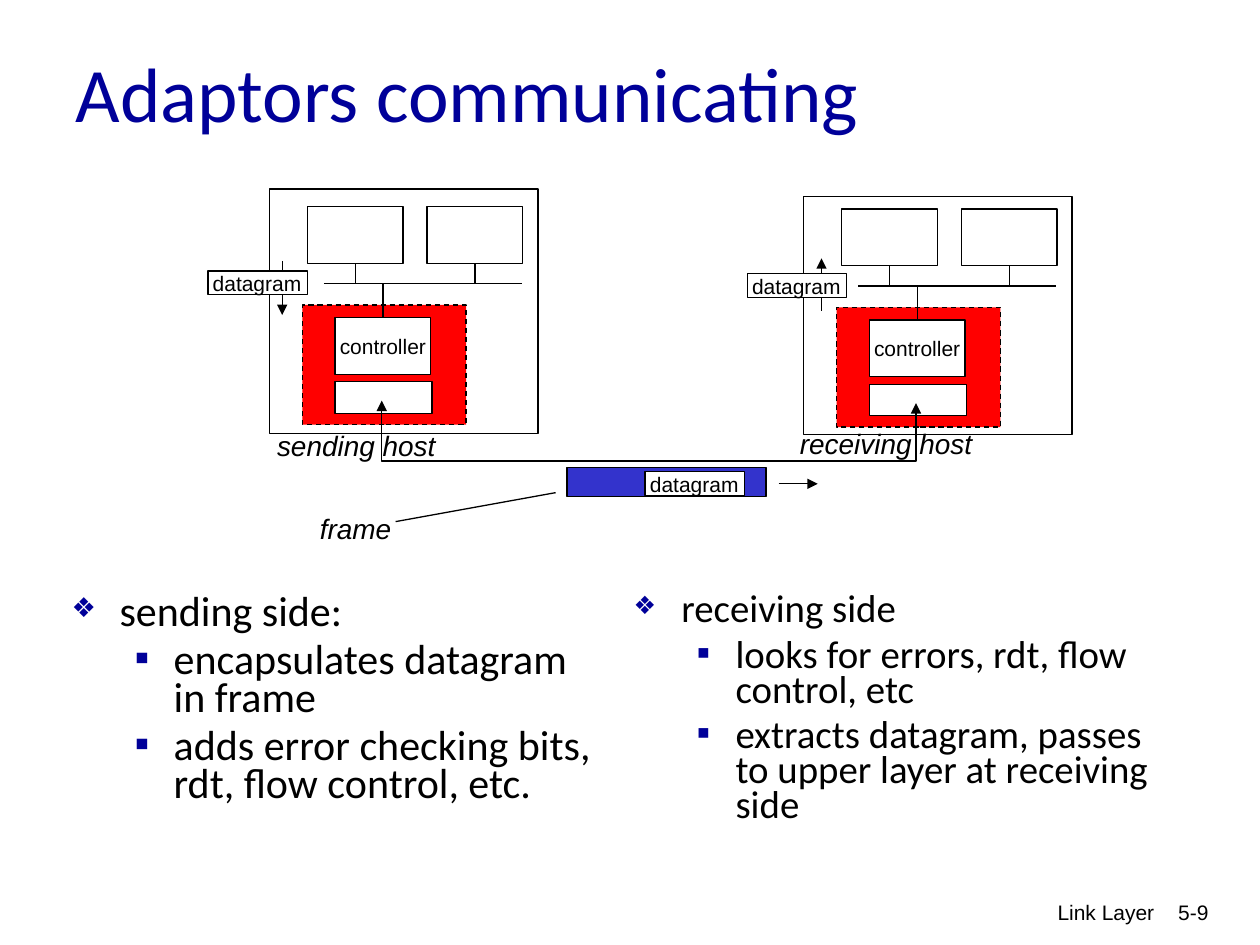
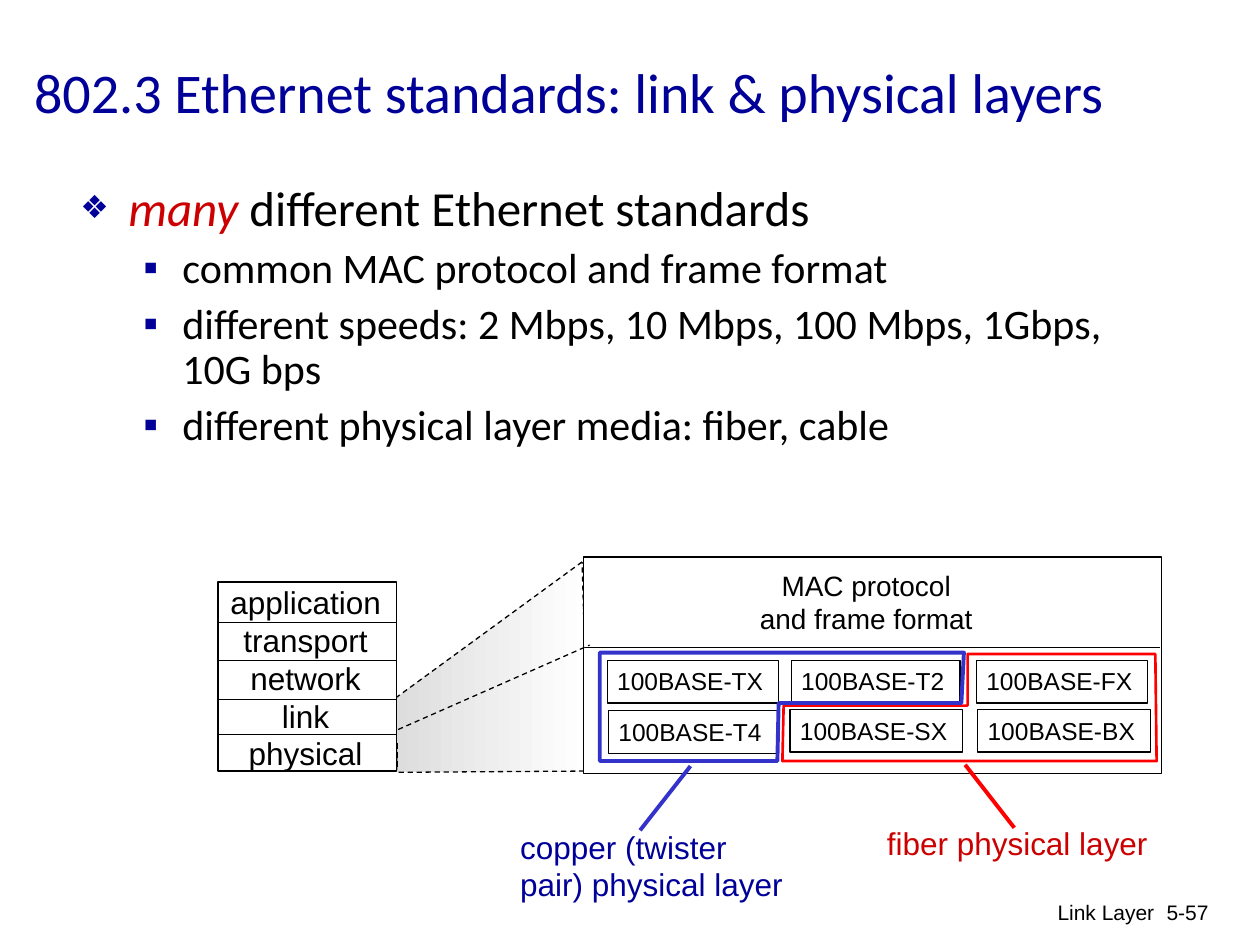
from lxml.etree import SubElement
from pptx import Presentation
from pptx.dml.color import RGBColor
from pptx.enum.dml import MSO_LINE
from pptx.enum.shapes import MSO_CONNECTOR, MSO_SHAPE
from pptx.enum.text import MSO_ANCHOR, MSO_AUTO_SIZE, PP_ALIGN
from pptx.oxml.ns import qn
from pptx.util import Cm, Pt

COLOURS = {
    "navy": "000099", "black": "000000", "white": "FFFFFF", "red": "FF0000",
    "crimson": "CC0000", "blue": "3333CC", "grey": "DDDDDD",
}
BULLETS = [
    {"char": "❖", "size": "65000", "margin": 0.38, "indent": -0.38},
    {"char": "▪", "size": "100000", "margin": 0.81, "indent": -0.31},
]
TIGHT = {"word_wrap": False, "auto_size": MSO_AUTO_SIZE.NONE,
         "margin_left": Cm(0.2), "margin_right": Cm(0.2)}
CENTRED = {"alignment": PP_ALIGN.CENTER}
RIGHT = {"alignment": PP_ALIGN.RIGHT}


def inches(value):
    return Cm(value * 2.54)


def colour(name):
    return RGBColor.from_string(COLOURS[name])


def assign(target, values):
    for name, value in values.items():
        setattr(target, name, value)


class SlideBuilder:
    def __init__(self, deck):
        self.deck = deck
        self.page = None

    def start(self, title, area, size, number):
        self.page = self.deck.slides.add_slide(self.deck.slide_layouts[5])
        for text, footer_area in (("Link Layer", (6.09, 7.09, 3.17, 0.5)),
                                  (number, (8.95, 7.09, 0.74, 0.5))):
            self.text(footer_area, [text], 12, layout=RIGHT, frame={"word_wrap": True})
        box = self.page.shapes.title
        assign(box, dict(zip(("left", "top", "width", "height"), map(inches, area))))
        assign(box.text_frame, {"word_wrap": True, "auto_size": MSO_AUTO_SIZE.NONE,
                                "vertical_anchor": MSO_ANCHOR.MIDDLE})
        para = box.text_frame.paragraphs[0]
        para.alignment = PP_ALIGN.LEFT
        self.span(para, title, size, "navy", "Calibri")

    def span(self, para, text, size, ink="black", face="Arial", italic=False):
        span = para.add_run()
        span.text = text
        assign(span.font, {"name": face, "size": Pt(size), "italic": italic})
        span.font.color.rgb = colour(ink)

    def fill_text(self, box, lines, size, ink="black", italic=False, layout=None, frame=TIGHT):
        assign(box.text_frame, frame)
        for index, line in enumerate(lines):
            para = box.text_frame.add_paragraph() if index else box.text_frame.paragraphs[0]
            assign(para, layout or {"alignment": PP_ALIGN.LEFT})
            self.span(para, line, size, ink, italic=italic)

    def text(self, area, lines, size, **style):
        box = self.page.shapes.add_textbox(*map(inches, area))
        self.fill_text(box, lines, size, **style)

    def bullets(self, area, items, spacing):
        box = self.page.shapes.add_textbox(*map(inches, area))
        box.text_frame.word_wrap = True
        for index, (level, spans) in enumerate(items):
            para = box.text_frame.add_paragraph() if index else box.text_frame.paragraphs[0]
            assign(para, {"level": level, "line_spacing": spacing,
                          "space_before": Pt(6 if index else 0)})
            mark = BULLETS[level]
            properties = para._p.get_or_add_pPr()
            properties.set("marL", str(inches(mark["margin"])))
            properties.set("indent", str(inches(mark["indent"])))
            tint = SubElement(properties, qn("a:buClr"))
            SubElement(tint, qn("a:srgbClr"), val=COLOURS["navy"])
            SubElement(properties, qn("a:buSzPct"), val=mark["size"])
            SubElement(properties, qn("a:buFont"), typeface="Arial")
            SubElement(properties, qn("a:buChar"), char=mark["char"])
            for text, size, ink, italic in spans:
                self.span(para, text, size, ink, "Calibri", italic)

    def outline(self, item, ink="black", width=0.75, dashed=False, head=False, tail=False):
        item.line.color.rgb = colour(ink)
        item.line.width = Pt(width)
        if dashed:
            item.line.dash_style = MSO_LINE.DASH
        for tag, wanted in (("a:headEnd", head), ("a:tailEnd", tail)):
            if wanted:
                SubElement(item.line._get_or_add_ln(), qn(tag), type="triangle")

    def rectangle(self, area, fill="white", **line):
        box = self.page.shapes.add_shape(MSO_SHAPE.RECTANGLE, *map(inches, area))
        box.shadow.inherit = False
        if fill:
            box.fill.solid()
            box.fill.fore_color.rgb = colour(fill)
        else:
            box.fill.background()
        self.outline(box, **line)
        return box

    def line(self, *ends, **style):
        link = self.page.shapes.add_connector(MSO_CONNECTOR.STRAIGHT, *map(inches, ends))
        self.outline(link, **style)
        SubElement(link._element.spPr, qn("a:effectLst"))
        return link

    def polygon(self, points, closed=True, gradient=None, **line):
        corners = [(inches(x), inches(y)) for x, y in points]
        builder = self.page.shapes.build_freeform(*corners[0])
        builder.add_line_segments(corners[1:], close=closed)
        outline = builder.convert_to_shape()
        outline.shadow.inherit = False
        if gradient:
            outline.fill.gradient()
            outline.fill.gradient_angle = 0
            for stop, name in zip(outline.fill.gradient_stops, gradient):
                stop.color.rgb = colour(name)
        else:
            outline.fill.background()
        self.outline(outline, **line)

    def host(self, x, y, case_top, case_height):
        self.rectangle((x, case_top, 2.13, case_height))
        self.rectangle((x + 0.26, y + 0.92, 1.3, 0.95), "red", dashed=True)
        self.rectangle((x + 0.52, y + 1.53, 0.77, 0.25))
        controller = self.rectangle((x + 0.52, y + 1.02, 0.76, 0.45))
        self.fill_text(controller, ["controller"], 12, layout=CENTRED,
                       frame={**TIGHT, "vertical_anchor": MSO_ANCHOR.MIDDLE})
        bus = y + 0.75
        self.line(x + 0.43, bus, x + 2, bus)
        drop = self.line(x + 0.9, y + 1.02, x + 0.9, bus)
        drop.begin_connect(controller, 0)
        for left in (x + 0.3, x + 1.25):
            unit = self.rectangle((left, y + 0.14, 0.76, 0.45))
            drop = self.line(left + 0.38, bus, left + 0.38, y + 0.59)
            drop.end_connect(unit, 2)

    def datagram(self, left, top):
        self.rectangle((left, top, 0.79, 0.19))
        self.text((left - 0.04, top - 0.05, 0.9, 0.3), ["datagram"], 12)


def plain_items(size, *items):
    return [(level, [(text, size, "black", False)]) for level, text in items]


def adaptors(slide):
    slide.start("Adaptors communicating", (0.5, 0.1, 8.5, 1.25), 44, "5-9")
    slide.bullets((0.47, 4.68, 4.45, 2.12), plain_items(
        24, (0, "sending side:"),
        (1, "encapsulates datagram in frame"),
        (1, "adds error checking bits, rdt, flow control, etc.")), 0.75)
    slide.bullets((4.93, 4.67, 4.47, 2.02), plain_items(
        22.2, (0, "receiving side"),
        (1, "looks for errors, rdt, flow control, etc"),
        (1, "extracts datagram, passes to upper layer at receiving side")), 0.75)
    slide.rectangle((4.5, 3.71, 1.58, 0.23), "blue")
    slide.host(2.14, 1.5, 1.5, 1.94)
    slide.host(6.38, 1.52, 1.56, 1.89)
    slide.line(2.24, 2.07, 2.24, 2.5, tail=True)
    slide.line(6.52, 2.05, 6.52, 2.47, head=True)
    for area, label in (((2.12, 3.35, 1.45, 0.37), "sending host"),
                        ((6.27, 3.34, 1.57, 0.37), "receiving host"),
                        ((2.46, 4.01, 0.76, 0.37), "frame")):
        slide.text(area, [label], 16, italic=True)
    for left, top in ((1.65, 2.15), (5.93, 2.17), (5.12, 3.74)):
        slide.datagram(left, top)
    slide.polygon([(3.03, 3.18), (3.03, 3.66), (7.27, 3.66), (7.27, 3.2)],
                  closed=False, head=True, tail=True)
    slide.line(6.18, 3.84, 6.49, 3.84, tail=True)
    slide.line(3.14, 4.14, 4.41, 3.91)


def ethernet_standards(slide):
    slide.start("802.3 Ethernet standards: link & physical layers",
                (0.17, 0.1, 9.53, 1.25), 32, "5-57")
    heading = (0, [("many ", 28, "crimson", True),
                   ("different Ethernet standards", 28, "black", False)])
    slide.bullets((0.54, 1.41, 8.5, 2.3), [heading] + plain_items(
        24, (1, "common MAC protocol and frame format"),
        (1, "different speeds: 2 Mbps, 10 Mbps, 100 Mbps, 1Gbps, 10G bps"),
        (1, "different physical layer media: fiber, cable")), 0.9)

    slide.polygon([(4.62, 4.46), (3.14, 5.54), (3.15, 6.13), (4.67, 6.12)],
                  gradient=("grey", "white"), dashed=True)
    slide.rectangle((1.73, 4.62, 1.42, 1.5))
    slide.text((1.73, 4.58, 1.39, 1.6),
               ["application", "transport", "network", "link", "physical"], 18, layout=CENTRED)
    for divider in (4.94, 5.24, 5.55, 5.83):
        slide.line(1.73, divider, 3.15, divider)
    for side in (1.73, 3.15):
        slide.line(side, 5.9, side, 6.09, dashed=True)

    slide.rectangle((4.63, 4.42, 4.59, 1.72))
    slide.line(4.64, 5.14, 9.21, 5.14)
    slide.text((5.93, 4.46, 1.89, 0.64), ["MAC protocol", "and frame format"], 16, layout=CENTRED)
    slide.polygon([(3.16, 5.79), (4.68, 5.12)], closed=False, dashed=True)
    for left, top, width, suffix in (
            (4.82, 5.24, 1.36, "TX"), (6.28, 5.24, 1.34, "T2"), (7.75, 5.24, 1.36, "FX"),
            (4.83, 5.64, 1.34, "T4"), (6.27, 5.63, 1.37, "SX"), (7.76, 5.63, 1.37, "BX")):
        standard = slide.rectangle((left, top, width, 0.34), None)
        slide.fill_text(standard, [f"100BASE-{suffix}"], 14,
                        frame={**TIGHT, "vertical_anchor": MSO_ANCHOR.TOP})

    slide.polygon([(7.68, 5.19), (7.68, 5.6), (6.22, 5.6), (6.21, 6.04), (9.18, 6.04),
                   (9.17, 5.19)], ink="red", width=1.5)
    slide.line(7.66, 6.07, 8.05, 6.57, ink="red", width=2.25)
    slide.text((6.96, 6.49, 2.27, 0.4), ["fiber physical layer"], 18, ink="crimson")
    slide.polygon([(7.65, 5.18), (7.63, 5.58), (6.18, 5.58), (6.17, 6.04), (4.76, 6.04),
                   (4.76, 5.18)], ink="blue", width=2.25)
    slide.line(5.48, 6.08, 5.08, 6.59, ink="blue", width=2.25)
    slide.text((4.05, 6.52, 2.28, 0.7), ["copper (twister", "pair) physical layer"], 18, ink="navy")


def main():
    deck = Presentation()
    assign(deck, {"slide_width": inches(10), "slide_height": inches(7.5)})
    slide = SlideBuilder(deck)
    adaptors(slide)
    ethernet_standards(slide)
    deck.save("out.pptx")


if __name__ == "__main__":
    main()
